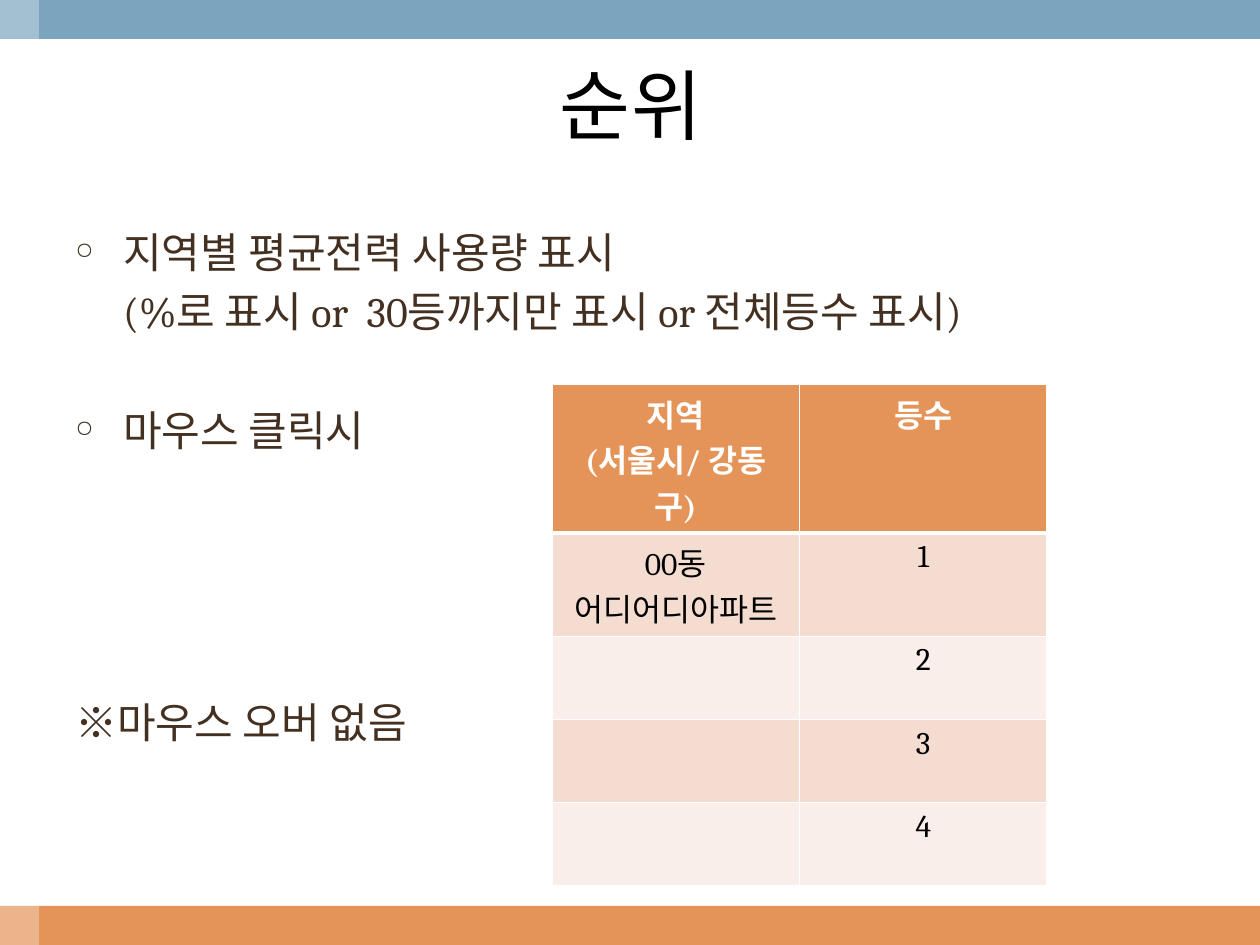
from dataclasses import dataclass

from lxml.etree import SubElement
from pptx import Presentation
from pptx.dml.color import RGBColor
from pptx.enum.shapes import MSO_SHAPE
from pptx.enum.text import MSO_ANCHOR, PP_ALIGN
from pptx.oxml.ns import qn
from pptx.slide import Slide
from pptx.util import Inches, Pt

ORANGE, BLUE, WHITE, BLACK, BROWN = "E49458", "7BA5BE", "FFFFFF", "000000", "433021"
BANDS = ("F5DCD1", "FAEEEA")
BODY = [
    ("지역별 평균전력 사용량 표시", "○", 0, 0),
    ("(%로 표시 or  30등까지만 표시 or 전체등수 표시)", None, 5, 0),
    ("마우스 클릭시", "○", 39, 0),
    ("※마우스 오버 없음", None, 138, -0.38),
]
RANKS = [
    (["지역", "(서울시/ 강동구)"], ["등수"]),
    (["00동", "어디어디아파트"], ["1"]),
    ([], ["2"]),
    ([], ["3"]),
    ([], ["4"]),
]
ROW_HEIGHTS = (1.18, 0.82, 0.66, 0.66, 0.66)


def paint(target, color):
    target.solid()
    target.fore_color.rgb = RGBColor.from_string(color)


@dataclass
class SlideBuilder:
    """Draws styled elements on the current slide."""

    slide: Slide
    font: str = "Cambria"

    def box(self, left, top, width, height):
        return tuple(Inches(value) for value in (left, top, width, height))

    def bar(self, left, top, width, height, color, opacity=100):
        shape = self.slide.shapes.add_shape(
            MSO_SHAPE.RECTANGLE, *self.box(left, top, width, height))
        shape.shadow.inherit = False
        shape.line.fill.background()
        paint(shape.fill, color)
        if opacity < 100:
            color_element = shape.fill._xPr.find(qn("a:solidFill"))[0]
            SubElement(color_element, qn("a:alpha"), val=str(opacity * 1000))

    def run(self, paragraph, text, size, color, bold=False):
        run = paragraph.add_run()
        run.text = text
        run.font.name = self.font
        run.font.size = Pt(size)
        run.font.bold = bold
        paint(run.font.fill, color)
        return run

    def text_frame(self, left, top, width, height, anchor=MSO_ANCHOR.TOP):
        frame = self.slide.shapes.add_textbox(
            *self.box(left, top, width, height)).text_frame
        frame.word_wrap = True
        frame.vertical_anchor = anchor
        return frame

    def title(self, text, *place):
        paragraph = self.text_frame(*place, anchor=MSO_ANCHOR.MIDDLE).paragraphs[0]
        paragraph.alignment = PP_ALIGN.CENTER
        run = self.run(paragraph, text, 44, BLACK)
        run._r.get_or_add_rPr().set("spc", "100")

    def body(self, lines, *place):
        frame = self.text_frame(*place)
        for index, (text, bullet, space, indent) in enumerate(lines):
            paragraph = frame.add_paragraph() if index else frame.paragraphs[0]
            paragraph.space_before = Pt(space)
            properties = paragraph._p.get_or_add_pPr()
            properties.set("marL", str(Inches(0.38)))
            properties.set("indent", str(Inches(-0.38 if bullet else indent)))
            if bullet:
                SubElement(properties, qn("a:buSzPct"), val="55000")
                SubElement(properties, qn("a:buChar"), char=bullet)
            self.run(paragraph, text, 24, BROWN)

    def borders(self, cell, top, bottom):
        properties = cell._tc.get_or_add_tcPr()
        for side, width in (("L", 1), ("R", 1), ("T", top), ("B", bottom)):
            line = SubElement(properties, qn(f"a:ln{side}"), w=str(Pt(width)))
            SubElement(SubElement(line, qn("a:solidFill")), qn("a:srgbClr"), val=WHITE)

    def table(self, rows, heights, left, top, width):
        table = self.slide.shapes.add_table(
            len(rows), len(rows[0]),
            *self.box(left, top, width, sum(heights))).table
        for row_index, (row, height) in enumerate(zip(rows, heights)):
            table.rows[row_index].height = Inches(height)
            header = row_index == 0
            for column_index, lines in enumerate(row):
                cell = table.cell(row_index, column_index)
                self.borders(cell, 3 if row_index == 1 else 1, 3 if header else 1)
                paint(cell.fill, ORANGE if header else BANDS[(row_index - 1) % 2])
                frame = cell.text_frame
                for index, text in enumerate(lines):
                    paragraph = frame.add_paragraph() if index else frame.paragraphs[0]
                    paragraph.alignment = PP_ALIGN.CENTER
                    self.run(paragraph, text, 18, WHITE if header else BLACK, header)


def main():
    presentation = Presentation()
    presentation.slide_width, presentation.slide_height = Inches(10), Inches(7.5)
    builder = SlideBuilder(presentation.slides.add_slide(presentation.slide_layouts[6]))
    builder.bar(0, 7.19, 10, 0.31, ORANGE)
    builder.bar(0, 0, 10, 0.31, BLUE)
    builder.bar(0, 0, 0.31, 7.5, WHITE, opacity=30)
    builder.body(BODY, 0.5, 1.75, 9, 4.95)
    builder.title("순위", 0.33, 0.31, 9.36, 1.03)
    builder.table(RANKS, ROW_HEIGHTS, 4.38, 3.05, 3.93)
    presentation.save("out.pptx")


if __name__ == "__main__":
    main()
